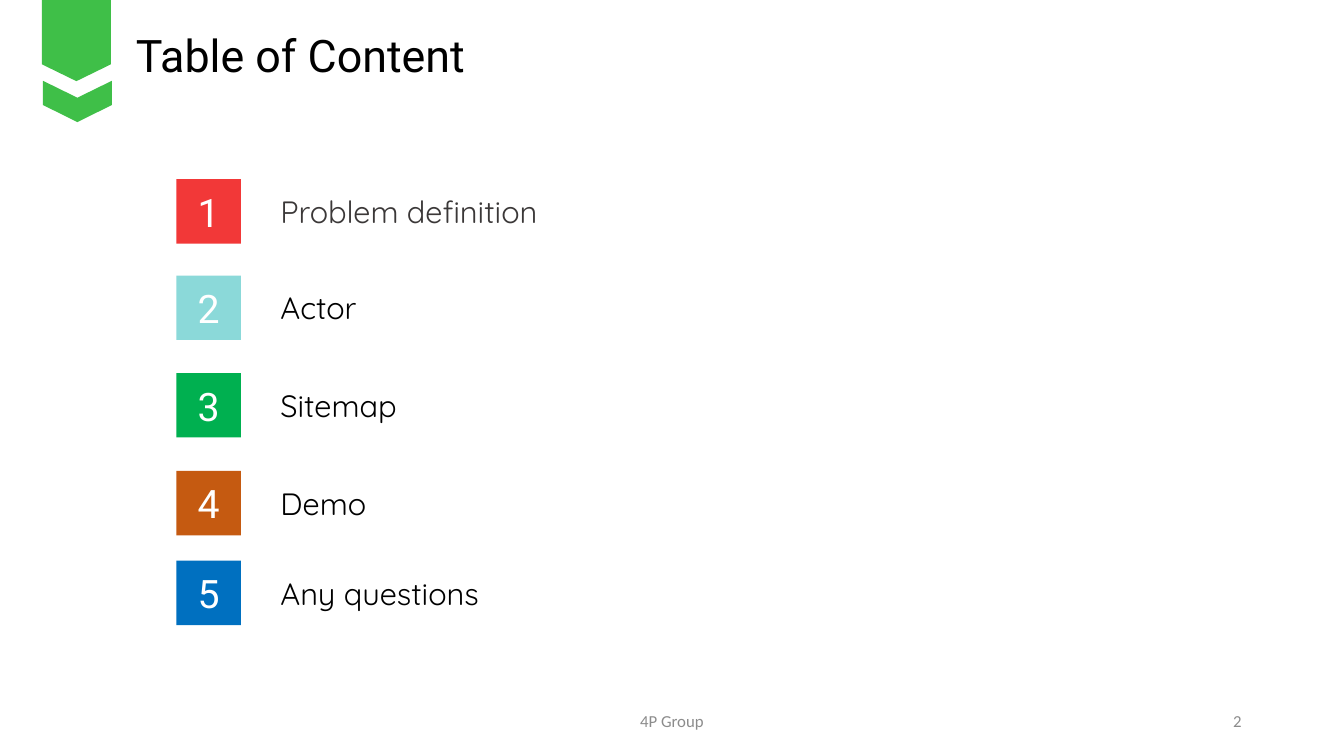
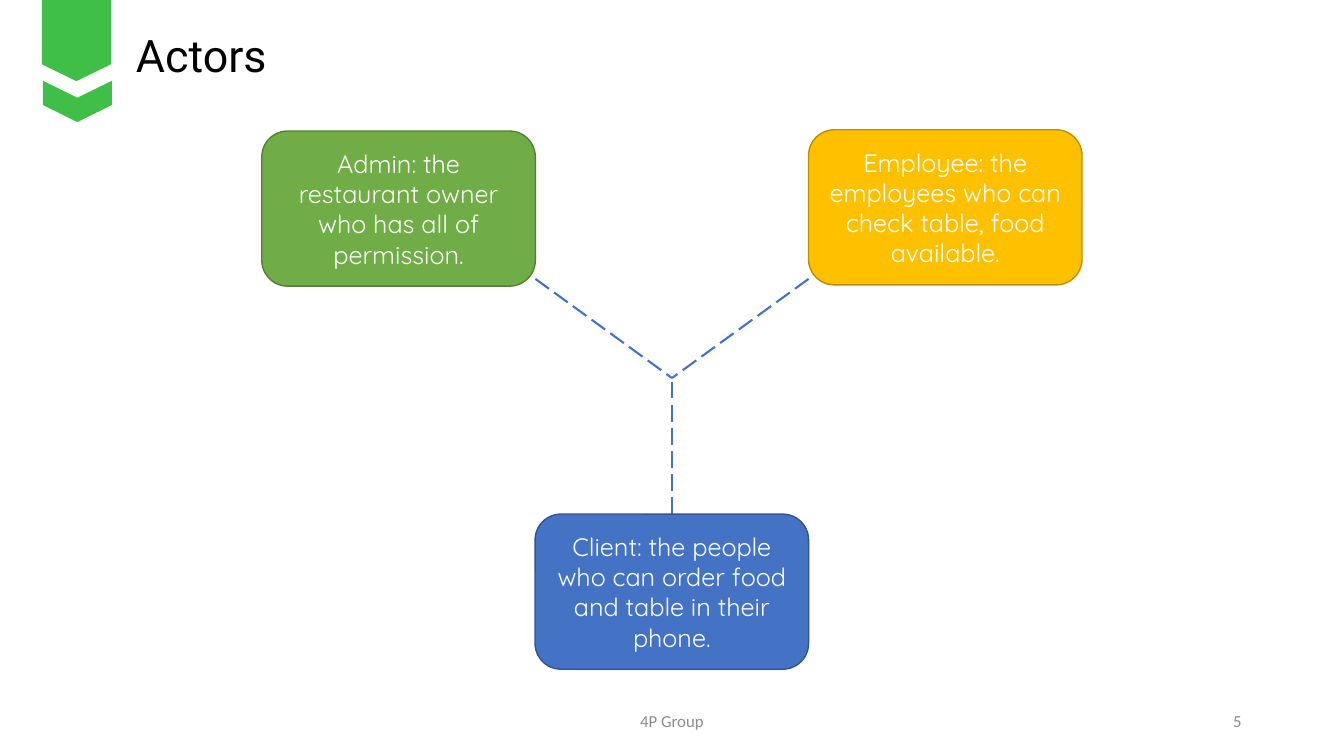
from pptx import Presentation
from pptx.dml.color import RGBColor
from pptx.enum import dml, shapes, text
from pptx.oxml import ns, xmlchemy
from pptx.util import Pt

BLACK = RGBColor(0x00, 0x00, 0x00)
WHITE = RGBColor(0xFF, 0xFF, 0xFF)
CHARCOAL = RGBColor(0x3B, 0x38, 0x38)
GRAY = RGBColor(0x8C, 0x8C, 0x8C)
RIBBON_GREEN = RGBColor(0x3F, 0xBF, 0x48)
RED = RGBColor(0xF2, 0x38, 0x38)
AQUA = RGBColor(0x8B, 0xD9, 0xD9)
GREEN = RGBColor(0x00, 0xB0, 0x50)
RUST = RGBColor(0xC5, 0x5A, 0x11)
BLUE = RGBColor(0x00, 0x70, 0xC0)
LEAF = RGBColor(0x70, 0xAD, 0x47)
LEAF_EDGE = RGBColor(0x53, 0x80, 0x35)
AMBER = RGBColor(0xFF, 0xC0, 0x00)
AMBER_EDGE = RGBColor(0xBD, 0x8E, 0x00)
INDIGO = RGBColor(0x44, 0x72, 0xC4)
INDIGO_EDGE = RGBColor(0x32, 0x54, 0x91)

TITLE = {"name": "Roboto", "size": Pt(32)}
NUMBER = {"name": "Roboto", "size": Pt(28)}
ENTRY = {"name": "Quicksand", "size": Pt(22)}
ACTOR = {"name": "Quicksand", "size": Pt(18)}
FOOTER = {"name": "Calibri", "size": Pt(12)}

LEFT, CENTER, RIGHT = (text.PP_ALIGN.LEFT, text.PP_ALIGN.CENTER,
                       text.PP_ALIGN.RIGHT)
TOP, MIDDLE = text.MSO_ANCHOR.TOP, text.MSO_ANCHOR.MIDDLE

RIBBON = [
    [(30, 0), (79.2, 0), (79.2, 46), (54.6, 58), (30, 46)],
    [(30.7, 57.7), (55.3, 69.8), (79.9, 57.7), (79.9, 75), (55.3, 87.2),
     (30.7, 75)],
]

# number colour, label, label colour, top
CONTENTS = [
    (RED, "Problem definition", CHARCOAL, 128),
    (AQUA, "Actor", BLACK, 196.8),
    (GREEN, "Sitemap", BLACK, 266.5),
    (RUST, "Demo", BLACK, 336.4),
    (BLUE, "Any questions", BLACK, 400.5),
]
NUMBER_LEFT, LABEL_LEFT, NUMBER_SIZE = 126, 193.2, 46

# text, fill, edge, left, top
ACTORS = [
    ("Admin: the restaurant owner who has all of permission.",
     LEAF, LEAF_EDGE, 187, 93.6),
    ("Employee: the employees who can check table, food available.",
     AMBER, AMBER_EDGE, 577.5, 92.7),
    ("Client: the people who can order food and table in their phone.",
     INDIGO, INDIGO_EDGE, 382.2, 367.2),
]
CARD_SIZE = (195.4, 110.8)
HUB = (480, 270)
SPOKE_ENDS = [(382.4, 199.2), (577.6, 199.2), (480, 367.2)]


def write(sp, words, style, color, align=LEFT, anchor=TOP):
    tf = sp.text_frame
    tf.word_wrap = True
    tf.vertical_anchor = anchor
    p = tf.paragraphs[0]
    p.alignment = align
    r = p.add_run()
    r.text = words
    for name, value in style.items():
        setattr(r.font, name, value)
    r.font.color.rgb = color


def paint(sp, fill, edge=None):
    sp.shadow.inherit = False
    sp.fill.solid()
    sp.fill.fore_color.rgb = fill
    if edge is None:
        sp.line.fill.background()
    else:
        sp.line.color.rgb = edge
        sp.line.width = Pt(1)


def add_text(s, box, words, style, color, align=LEFT, anchor=TOP):
    sp = s.shapes.add_textbox(*map(Pt, box))
    write(sp, words, style, color, align, anchor)


def add_box(s, kind, box, words, style, fill, edge=None):
    sp = s.shapes.add_shape(kind, *map(Pt, box))
    paint(sp, fill, edge)
    write(sp, words, style, WHITE, CENTER, MIDDLE)


def add_outline(s, points, fill):
    start, *rest = [(Pt(x), Pt(y)) for x, y in points]
    builder = s.shapes.build_freeform(*start)
    builder.add_line_segments(rest, close=True)
    paint(builder.convert_to_shape(), fill)


def add_dashed_line(s, start, end):
    line = s.shapes.add_connector(shapes.MSO_CONNECTOR.STRAIGHT,
                                  *map(Pt, start + end))
    line.line.color.rgb = INDIGO
    line.line.width = Pt(1.5)
    line.line.dash_style = dml.MSO_LINE.LONG_DASH
    effects = xmlchemy.OxmlElement("a:effectLst")
    line.element.find(ns.qn("p:spPr")).append(effects)


def add_page(prs, title, number):
    """Add a slide with the ribbon, title and footer that all pages share."""
    s = prs.slides.add_slide(prs.slide_layouts[6])
    for points in RIBBON:
        add_outline(s, points, RIBBON_GREEN)
    add_text(s, (90, 16, 542, 46), title, TITLE, BLACK)
    add_text(s, (318, 500.5, 324, 28.8), "4P Group", FOOTER, GRAY, CENTER,
             MIDDLE)
    add_text(s, (678, 500.5, 216, 28.8), number, FOOTER, GRAY, RIGHT, MIDDLE)
    return s


def add_contents(s):
    for number, (fill, label, color, top) in enumerate(CONTENTS, 1):
        add_box(s, shapes.MSO_SHAPE.RECTANGLE,
                (NUMBER_LEFT, top, NUMBER_SIZE, NUMBER_SIZE),
                str(number), NUMBER, fill)
        add_text(s, (LABEL_LEFT, top + 6.2, 378, 34), label, ENTRY, color)


def add_actors(s):
    for end in SPOKE_ENDS:
        add_dashed_line(s, end, HUB)
    for words, fill, edge, left, top in ACTORS:
        add_box(s, shapes.MSO_SHAPE.ROUNDED_RECTANGLE,
                (left, top, *CARD_SIZE), words, ACTOR, fill, edge)


def main():
    prs = Presentation()
    prs.slide_width, prs.slide_height = Pt(960), Pt(540)
    add_contents(add_page(prs, "Table of Content", "2"))
    add_actors(add_page(prs, "Actors", "5"))
    prs.save("out.pptx")


if __name__ == "__main__":
    main()
